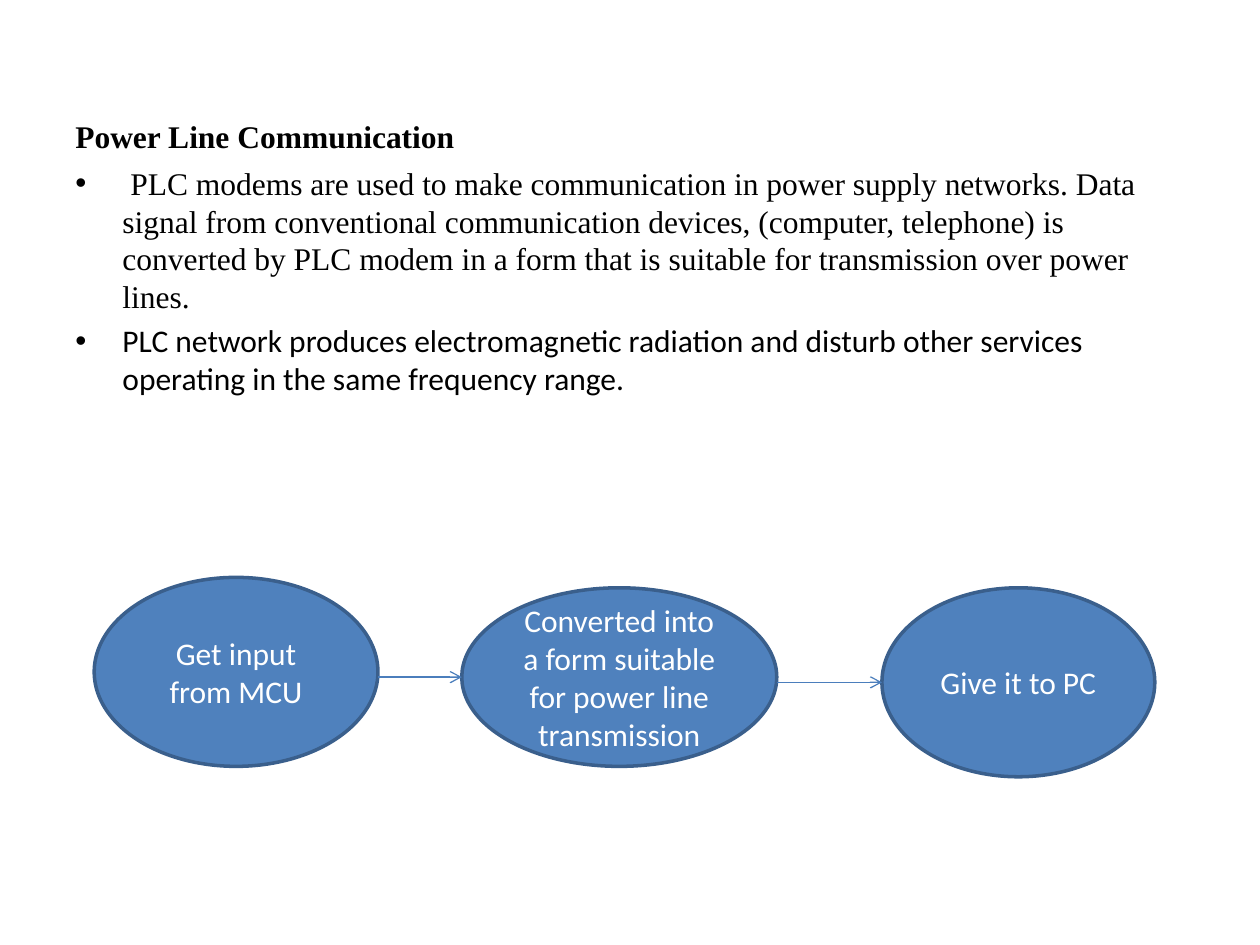
from lxml.etree import SubElement
from pptx import Presentation
from pptx.dml.color import RGBColor
from pptx.enum.shapes import MSO_CONNECTOR as Connector, MSO_SHAPE as Shape
from pptx.enum.text import MSO_ANCHOR as Anchor, PP_ALIGN as Align
from pptx.oxml.ns import qn
from pptx.util import Cm, Pt

BLACK = RGBColor(0x00, 0x00, 0x00)
WHITE = RGBColor(0xFF, 0xFF, 0xFF)
BLUE = RGBColor(0x4F, 0x81, 0xBD)
OUTLINE = RGBColor(0x3A, 0x5F, 0x8C)
ARROW = RGBColor(0x4B, 0x7E, 0xBC)
SERIF, SANS = "Times New Roman", "Calibri"

HEADING = "Power Line Communication"
POINTS = [
    (" PLC modems are used to make communication in power supply networks. "
     "Data signal from conventional communication devices, (computer, telephone) "
     "is converted by PLC modem in a form that is suitable for transmission over "
     "power lines.", SERIF),
    ("PLC network produces electromagnetic radiation and disturb other services "
     "operating in the same frequency range.", SANS),
]
STAGES = [
    ("Get input from MCU", 0, 0, 5.72, 3.81),
    ("Converted into a form suitable for power line transmission", 7.41, 0.21, 6.35, 3.6),
    ("Give it to PC", 15.88, 0.21, 5.5, 3.81),
]


def style(paragraph, font_name, color, bold=False):
    """Format every run of a paragraph."""
    for run in paragraph.runs:
        run.font.name = font_name
        run.font.size = Pt(18)
        run.font.bold = bold
        run.font.color.rgb = color


def add_heading(slide, left, top, width, height):
    """Place the heading slightly below the middle of its box."""
    frame = slide.shapes.add_textbox(Cm(left), Cm(top), Cm(width), Cm(height)).text_frame
    frame.word_wrap = True
    frame.vertical_anchor = Anchor.MIDDLE
    frame.margin_top = Cm(0.89)
    frame.text = HEADING
    style(frame.paragraphs[0], SERIF, BLACK, bold=True)


def add_points(slide, left, top, width, height):
    """Place the bulleted points in the given box."""
    frame = slide.shapes.add_textbox(Cm(left), Cm(top), Cm(width), Cm(height)).text_frame
    frame.word_wrap = True
    for index, (point, font_name) in enumerate(POINTS):
        paragraph = frame.add_paragraph() if index else frame.paragraphs[0]
        paragraph.text = point
        paragraph.space_before = Pt(3.6)
        style(paragraph, font_name, BLACK)
        properties = paragraph._p.get_or_add_pPr()
        properties.set("marL", str(Cm(0.95)))
        properties.set("indent", str(Cm(-0.95)))
        SubElement(properties, qn("a:buFont"), typeface="Arial")
        SubElement(properties, qn("a:buChar"), char="•")


def add_stage(slide, label, left, top, width, height):
    """Draw one labelled ellipse of the flow."""
    stage = slide.shapes.add_shape(Shape.OVAL, Cm(left), Cm(top), Cm(width), Cm(height))
    stage.shadow.inherit = False
    stage.fill.solid()
    stage.fill.fore_color.rgb = BLUE
    stage.line.color.rgb = OUTLINE
    stage.line.width = Pt(2)
    frame = stage.text_frame
    frame.word_wrap = True
    frame.vertical_anchor = Anchor.MIDDLE
    frame.text = label
    frame.paragraphs[0].alignment = Align.CENTER
    style(frame.paragraphs[0], SANS, WHITE)
    return stage


def add_arrow(slide, source, target):
    """Draw a level arrow from one stage to the middle of the next one's left side."""
    level = target.top + target.height // 2
    arrow = slide.shapes.add_connector(
        Connector.STRAIGHT, source.left + source.width, level, target.left, level)
    arrow.line.color.rgb = ARROW
    arrow.line.width = Pt(0.75)
    SubElement(arrow.line._get_or_add_ln(), qn("a:tailEnd"), type="arrow")
    SubElement(arrow._element.spPr, qn("a:effectLst"))


def add_flow(slide, left, top):
    """Place the stages and the arrows between them from the given corner."""
    stages = [add_stage(slide, label, left + x, top + y, width, height)
              for label, x, y, width, height in STAGES]
    for source, target in zip(stages, stages[1:]):
        add_arrow(slide, source, target)


def main():
    """Build and save the slide."""
    presentation = Presentation()
    presentation.slide_width, presentation.slide_height = Cm(25.4), Cm(19.05)
    slide = presentation.slides.add_slide(presentation.slide_layouts[6])
    add_heading(slide, 1.27, 0.76, 22.86, 3.18)
    add_points(slide, 1.27, 3.18, 22.86, 13.84)
    add_flow(slide, 1.9, 11.64)
    presentation.save("out.pptx")


if __name__ == "__main__":
    main()
